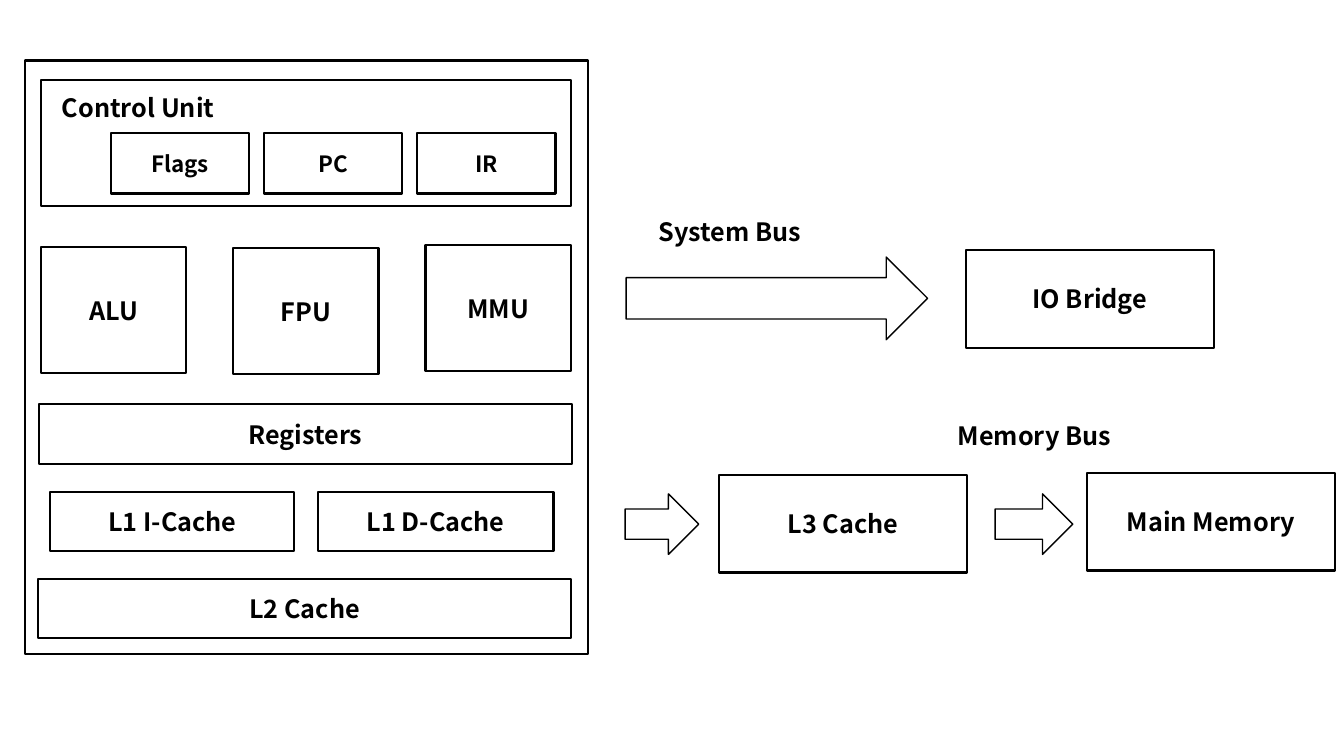
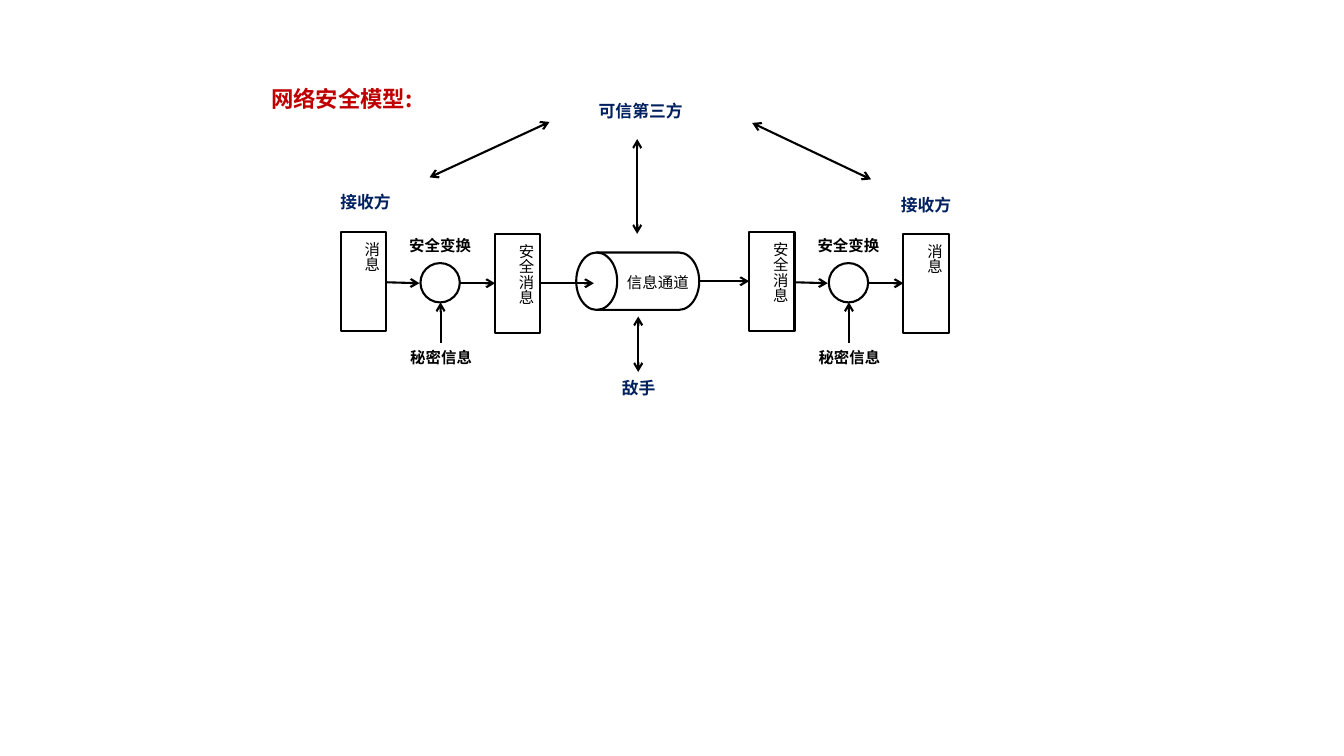
from dataclasses import dataclass

from lxml import etree
from pptx import Presentation
from pptx.dml.color import RGBColor
from pptx.enum.lang import MSO_LANGUAGE_ID
from pptx.enum.shapes import MSO_CONNECTOR, MSO_SHAPE
from pptx.enum.text import MSO_ANCHOR, MSO_AUTO_SIZE, PP_ALIGN
from pptx.oxml.ns import qn
from pptx.util import Inches, Pt

RECT = MSO_SHAPE.RECTANGLE
ARROW = MSO_SHAPE.RIGHT_ARROW
OVAL = MSO_SHAPE.OVAL
DISK = MSO_SHAPE.FLOWCHART_MAGNETIC_DISK
STRAIGHT = MSO_CONNECTOR.STRAIGHT
LEFT, CENTER = PP_ALIGN.LEFT, PP_ALIGN.CENTER
TOP, MIDDLE = MSO_ANCHOR.TOP, MSO_ANCHOR.MIDDLE
GROW = MSO_AUTO_SIZE.SHAPE_TO_FIT_TEXT
CHINESE = MSO_LANGUAGE_ID.SIMPLIFIED_CHINESE

BLACK = RGBColor(0x00, 0x00, 0x00)
NAVY = RGBColor(0x00, 0x20, 0x60)
RED = RGBColor(0xC0, 0x00, 0x00)
SANS = "Noto Sans CJK SC"
MONO = "Noto Sans Mono"
TITLE_ONLY, BLANK = 5, 6


@dataclass(frozen=True)
class Style:
    size: float
    font: str
    color: RGBColor = BLACK
    bold: bool = True


TITLE = Style(16, SANS, RED)
UNIT = Style(18, SANS)
REGISTER = Style(16, SANS)
PARTY = Style(12, MONO, NAVY)
STEP = Style(11, MONO)
MESSAGE = Style(11, MONO, bold=False)


@dataclass(frozen=True)
class Box:
    text: str
    left: float
    top: float
    width: float
    height: float
    style: Style = UNIT


@dataclass(frozen=True)
class Line:
    x1: float
    y1: float
    x2: float
    y2: float
    both_ends: bool = False


def write(tf, text: str, style: Style, align=CENTER, anchor=TOP) -> None:
    tf.text = text
    tf.word_wrap = True
    tf.vertical_anchor = anchor
    p = tf.paragraphs[0]
    p.alignment = align
    for r in p.runs:
        font = r.font
        font.size, font.bold, font.name = Pt(style.size), style.bold, style.font
        font.color.rgb = style.color
        font.language_id = CHINESE
        etree.SubElement(r._r.get_or_add_rPr(), qn("a:ea"), typeface=style.font)


def outline(s, kind, left: float, top: float, width: float, height: float,
            weight: float = 1.5):
    """Add an unfilled preset shape with a black line."""
    sp = s.shapes.add_shape(kind, Inches(left), Inches(top), Inches(width), Inches(height))
    sp.shadow.inherit = False
    sp.fill.background()
    sp.line.color.rgb = BLACK
    sp.line.width = Pt(weight)
    return sp


def label(s, box: Box) -> None:
    sp = s.shapes.add_textbox(Inches(box.left), Inches(box.top),
                              Inches(box.width), Inches(box.height))
    write(sp.text_frame, box.text, box.style)


def labelled_box(s, box: Box) -> None:
    sp = outline(s, RECT, box.left, box.top, box.width, box.height)
    write(sp.text_frame, box.text, box.style, anchor=MIDDLE)


def message_box(s, text: str, left: float, top: float) -> None:
    """Add a tall box whose text runs downwards from its top right."""
    tf = outline(s, RECT, left, top, 0.45, 0.98).text_frame
    write(tf, text, MESSAGE, LEFT)
    tf.margin_left = tf.margin_right = Inches(0.05)
    tf.margin_top = tf.margin_bottom = Inches(0.1)
    tf._txBody.bodyPr.set("vert", "eaVert")


def arrow(s, line: Line) -> None:
    c = s.shapes.add_connector(STRAIGHT, Inches(line.x1), Inches(line.y1),
                               Inches(line.x2), Inches(line.y2))
    c.line.color.rgb = BLACK
    c.line.width = Pt(1.5)
    ln = c.line._get_or_add_ln()
    for end in ("a:headEnd", "a:tailEnd") if line.both_ends else ("a:tailEnd",):
        etree.SubElement(ln, qn(end), type="arrow")
    etree.SubElement(c._element.spPr, qn("a:effectLst"))


def title(s, text: str, left: float, top: float, width: float, height: float) -> None:
    sp = s.shapes.title
    sp.left, sp.top = Inches(left), Inches(top)
    sp.width, sp.height = Inches(width), Inches(height)
    write(sp.text_frame, text, TITLE, LEFT)
    sp.text_frame.auto_size = GROW
    sp.text_frame.paragraphs[0].line_spacing = 1.5


def processor_slide(prs) -> None:
    s = prs.slides.add_slide(prs.slide_layouts[BLANK])
    outline(s, RECT, 0.25, 0.6, 5.58, 5.89)
    outline(s, RECT, 0.41, 0.79, 5.25, 1.25)
    for i, name in enumerate(("Flags", "PC", "IR")):
        labelled_box(s, Box(name, 1.1 + 1.52 * i, 1.32, 1.37, 0.6, REGISTER))
    for i, (name, top) in enumerate((("ALU", 2.45), ("FPU", 2.46), ("MMU", 2.43))):
        labelled_box(s, Box(name, 0.41 + 1.905 * i, top, 1.44, 1.25))
    for box in (
        Box("Registers", 0.39, 4.01, 5.28, 0.59),
        Box("L1 I-Cache", 0.5, 4.88, 2.42, 0.59),
        Box("L1 D-Cache", 3.15, 4.88, 2.34, 0.59),
        Box("L2 Cache", 0.38, 5.74, 5.28, 0.59),
        Box("L3 Cache", 7.13, 4.71, 2.46, 0.97),
        Box("Main Memory", 10.78, 4.69, 2.46, 0.97),
        Box("IO Bridge", 9.58, 2.48, 2.46, 0.97),
    ):
        labelled_box(s, box)
    for text, left, top in (("Control Unit", 0.25, 0.87),
                            ("System Bus", 6.12, 2.1),
                            ("Memory Bus", 9.14, 4.12)):
        label(s, Box(text, left, top, 2.24, 0.4))
    for bus in ((6.21, 2.55, 2.99, 0.82), (6.2, 4.9, 0.73, 0.6), (9.87, 4.9, 0.77, 0.6)):
        outline(s, ARROW, *bus, weight=1)


def transformation(s, x: float, source: str, result: str) -> None:
    """Draw one security transformation between two messages, starting at x."""
    message_box(s, source, x, 2.3)
    message_box(s, result, x + 1.53, 2.32)
    outline(s, OVAL, x + 0.79, 2.61, 0.39, 0.39)
    label(s, Box("安全变换", x + 0.44, 2.29, 1.09, 0.29, STEP))
    label(s, Box("秘密信息", x + 0.45, 3.4, 1.09, 0.29, STEP))
    for line in (
        Line(x + 0.44, 2.8, x + 0.78, 2.81),
        Line(x + 1.18, 2.81, x + 1.53, 2.81),
        Line(x + 0.99, 3.4, x + 0.99, 3),
    ):
        arrow(s, line)


def security_slide(prs) -> None:
    s = prs.slides.add_slide(prs.slide_layouts[TITLE_ONLY])
    title(s, "网络安全模型:", 2.59, 0.66, 2.01, 0.46)
    outline(s, DISK, 6.04, 2.18, 0.57, 1.22).rotation = 270
    label(s, Box("信息通道", 5.98, 2.66, 1.09, 0.29, MESSAGE))
    transformation(s, 3.38, "消息", "安全消息")
    transformation(s, 7.43, "安全消息", "消息")
    for text, left, top in (("可信第三方", 5.81, 0.95), ("接收方", 3.08, 1.85),
                            ("接收方", 8.64, 1.88), ("敌手", 5.79, 3.7)):
        label(s, Box(text, left, top, 1.09, 0.3, PARTY))
    for line in (
        Line(5.36, 2.81, 5.89, 2.81),
        Line(6.94, 2.79, 7.43, 2.79),
        Line(6.32, 1.38, 6.32, 2.32, both_ends=True),
        Line(6.33, 3.14, 6.33, 3.69, both_ends=True),
        Line(7.46, 1.22, 8.64, 1.78, both_ends=True),
        Line(4.26, 1.76, 5.45, 1.21, both_ends=True),
    ):
        arrow(s, line)


def main() -> None:
    prs = Presentation()
    prs.slide_width, prs.slide_height = Inches(13.33), Inches(7.5)
    processor_slide(prs)
    security_slide(prs)
    prs.save("out.pptx")


if __name__ == "__main__":
    main()
